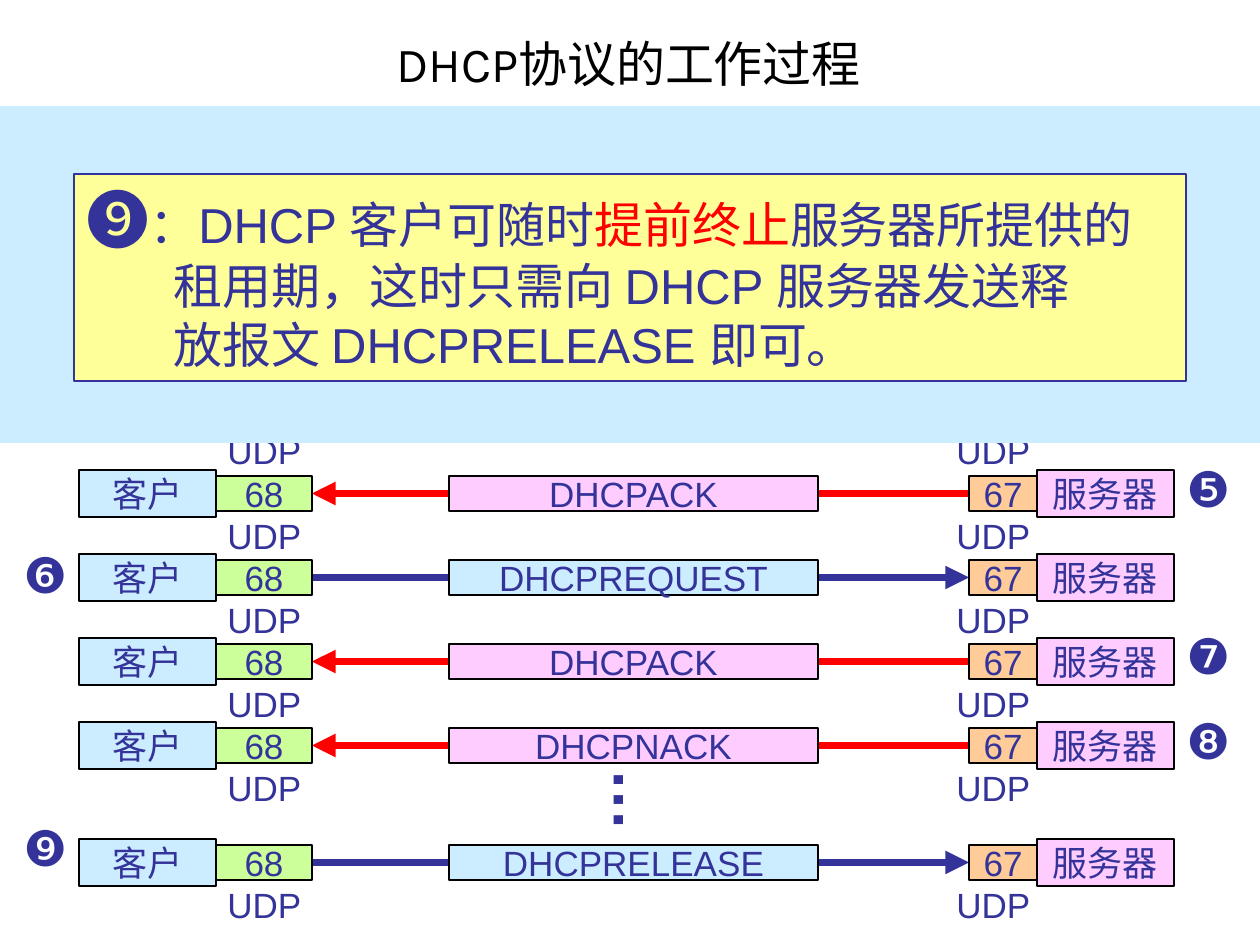
from dataclasses import dataclass

from lxml.etree import SubElement
from pptx import Presentation
from pptx.dml.color import RGBColor
from pptx.enum.shapes import MSO_CONNECTOR, MSO_SHAPE
from pptx.enum.text import MSO_ANCHOR, MSO_AUTO_SIZE, PP_ALIGN
from pptx.oxml.ns import qn
from pptx.util import Emu, Pt

SCALE = 914400 / 126
COLORS = {
    "text": "333399", "black": "000000", "red": "FF0000", "blue": "CCECFF",
    "pink": "FFCCFF", "orange": "FFCC99", "green": "CCFF99", "yellow": "FFFF99",
}
RIGHT_SIDE, LEFT_SIDE = 3, 1
BOX_HEIGHT, PORT_HEIGHT = 47, 35
CLIENT_PORT_X, SERVER_PORT_X = 216, 969
CLIENT_PORT_WIDTH = 96
UDP_LABEL_XS = (215, 944)


@dataclass
class Exchange:
    message: str
    center: int
    from_client: bool
    marker: str
    marker_top: int


EXCHANGES = [
    Exchange("DHCPACK", 493, False, "❺", 452),
    Exchange("DHCPREQUEST", 577, True, "❻", 538),
    Exchange("DHCPACK", 661, False, "❼", 619),
    Exchange("DHCPNACK", 745, False, "❽", 704),
    Exchange("DHCPRELEASE", 862, True, "❾", 811),
]


def px(value: int) -> Emu:
    return Emu(round(value * SCALE))


def color(name: str) -> RGBColor:
    return RGBColor.from_string(COLORS[name])


def format_font(font, size: int, name: str = "text", face: str = "Arial") -> None:
    font.name = face
    font.size = Pt(size)
    font.color.rgb = color(name)


def add_rectangle(slide, left: int, top: int, width: int, height: int,
                  fill: str, line: str = ""):
    shape = slide.shapes.add_shape(
        MSO_SHAPE.RECTANGLE, px(left), px(top), px(width), px(height))
    shape.shadow.inherit = False
    shape.fill.solid()
    shape.fill.fore_color.rgb = color(fill)
    if line:
        shape.line.color.rgb = color(line)
        shape.line.width = Pt(0.75)
    else:
        shape.line.fill.background()
    return shape


def add_box(slide, text: str, left: int, center: int, width: int, height: int, fill: str):
    shape = add_rectangle(slide, left, center - height // 2, width, height, fill, "black")
    frame = shape.text_frame
    frame.word_wrap = False
    frame.vertical_anchor = MSO_ANCHOR.MIDDLE
    frame.text = text
    paragraph = frame.paragraphs[0]
    paragraph.alignment = PP_ALIGN.CENTER
    format_font(paragraph.runs[0].font, 20)
    return shape


def add_label(slide, text: str, left: int, top: int, width: int, height: int, size: int):
    shape = slide.shapes.add_textbox(px(left), px(top), px(width), px(height))
    frame = shape.text_frame
    frame.word_wrap = False
    frame.auto_size = MSO_AUTO_SIZE.SHAPE_TO_FIT_TEXT
    frame.text = text
    format_font(frame.paragraphs[0].runs[0].font, size)
    return shape


def add_udp_labels(slide, top: int) -> None:
    for left in UDP_LABEL_XS:
        add_label(slide, "UDP", left, top, 100, 54, 20)


def add_arrow(slide, center: int, from_client: bool):
    ends = [CLIENT_PORT_X + CLIENT_PORT_WIDTH, SERVER_PORT_X]
    start, end = ends if from_client else reversed(ends)
    arrow = slide.shapes.add_connector(
        MSO_CONNECTOR.STRAIGHT, px(start), px(center), px(end), px(center))
    arrow.line.color.rgb = color("text" if from_client else "red")
    arrow.line.width = Pt(4.5)
    SubElement(arrow.line._get_or_add_ln(), qn("a:tailEnd"), type="triangle")
    SubElement(arrow._element.spPr, qn("a:effectLst"))
    return arrow


def add_exchange(slide, exchange: Exchange) -> None:
    center = exchange.center
    arrow = add_arrow(slide, center, exchange.from_client)
    message_fill = "blue" if exchange.from_client else "pink"
    add_box(slide, "客户", 79, center, 137, BOX_HEIGHT, "blue")
    add_box(slide, exchange.message, 449, center, 369, PORT_HEIGHT, message_fill)
    add_box(slide, "服务器", 1037, center, 137, BOX_HEIGHT, "pink")
    server_port = add_box(slide, "67", SERVER_PORT_X, center, 68, PORT_HEIGHT, "orange")
    client_port = add_box(slide, "68", CLIENT_PORT_X, center, CLIENT_PORT_WIDTH,
                          PORT_HEIGHT, "green")
    if exchange.from_client:
        arrow.begin_connect(client_port, RIGHT_SIDE)
        arrow.end_connect(server_port, LEFT_SIDE)
    else:
        arrow.begin_connect(server_port, LEFT_SIDE)
        arrow.end_connect(client_port, RIGHT_SIDE)
    add_udp_labels(slide, center + 15)
    marker_left = 11 if exchange.from_client else 1174
    add_label(slide, exchange.marker, marker_left, exchange.marker_top, 69, 72, 28)


def add_title(slide) -> None:
    title = slide.shapes.title
    title.left, title.top, title.width, title.height = px(25), px(26), px(1218), px(74)
    frame = title.text_frame
    frame.auto_size = MSO_AUTO_SIZE.NONE
    frame.vertical_anchor = MSO_ANCHOR.MIDDLE
    frame.text = "DHCP协议的工作过程 "
    frame.paragraphs[0].alignment = PP_ALIGN.CENTER
    format_font(frame.paragraphs[0].runs[0].font, 28, "black", "Karla")


def add_note(slide) -> None:
    add_rectangle(slide, 0, 106, 1260, 337, "blue")
    note = add_rectangle(slide, 74, 174, 1112, 207, "yellow", "text")
    frame = note.text_frame
    frame.word_wrap = True
    frame.auto_size = MSO_AUTO_SIZE.SHAPE_TO_FIT_TEXT
    frame.vertical_anchor = MSO_ANCHOR.TOP
    lines = [
        [("❾", 36, "text"), ("：DHCP 客户可随时", 28, "text"),
         ("提前终止", 28, "red"), ("服务器所提供的", 28, "text")],
        [("租用期，这时只需向 DHCP 服务器发送释", 28, "text")],
        [("放报文 DHCPRELEASE 即可。", 28, "text")],
    ]
    for index, line in enumerate(lines):
        paragraph = frame.add_paragraph() if index else frame.paragraphs[0]
        paragraph.alignment = PP_ALIGN.JUSTIFY
        if index:
            paragraph._p.get_or_add_pPr().set("marL", str(px(87)))
        for text, size, name in line:
            run = paragraph.add_run()
            run.text = text
            format_font(run.font, size, name)


def main() -> None:
    presentation = Presentation()
    presentation.slide_width, presentation.slide_height = px(1260), px(945)
    slide = presentation.slides.add_slide(presentation.slide_layouts[5])
    add_title(slide)

    # Message exchanges between client and server
    add_udp_labels(slide, 423)
    for exchange in EXCHANGES:
        add_exchange(slide, exchange)

    # Vertical dots before the release
    dots = add_label(slide, "…", 554, 756, 88, 88, 36)
    dots.rotation = 270
    dots.text_frame.paragraphs[0].runs[0].font.bold = True

    # Explanation covering the upper rows
    add_note(slide)
    presentation.save("out.pptx")


if __name__ == "__main__":
    main()
